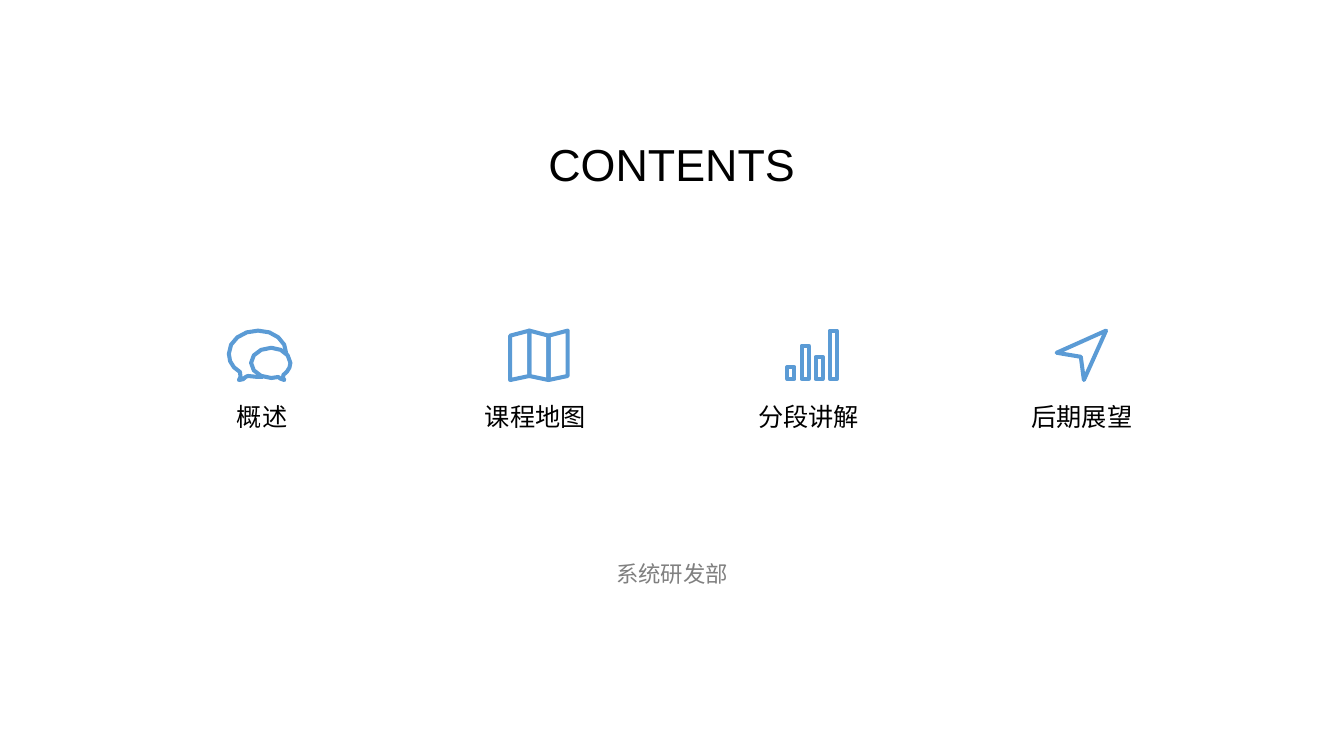
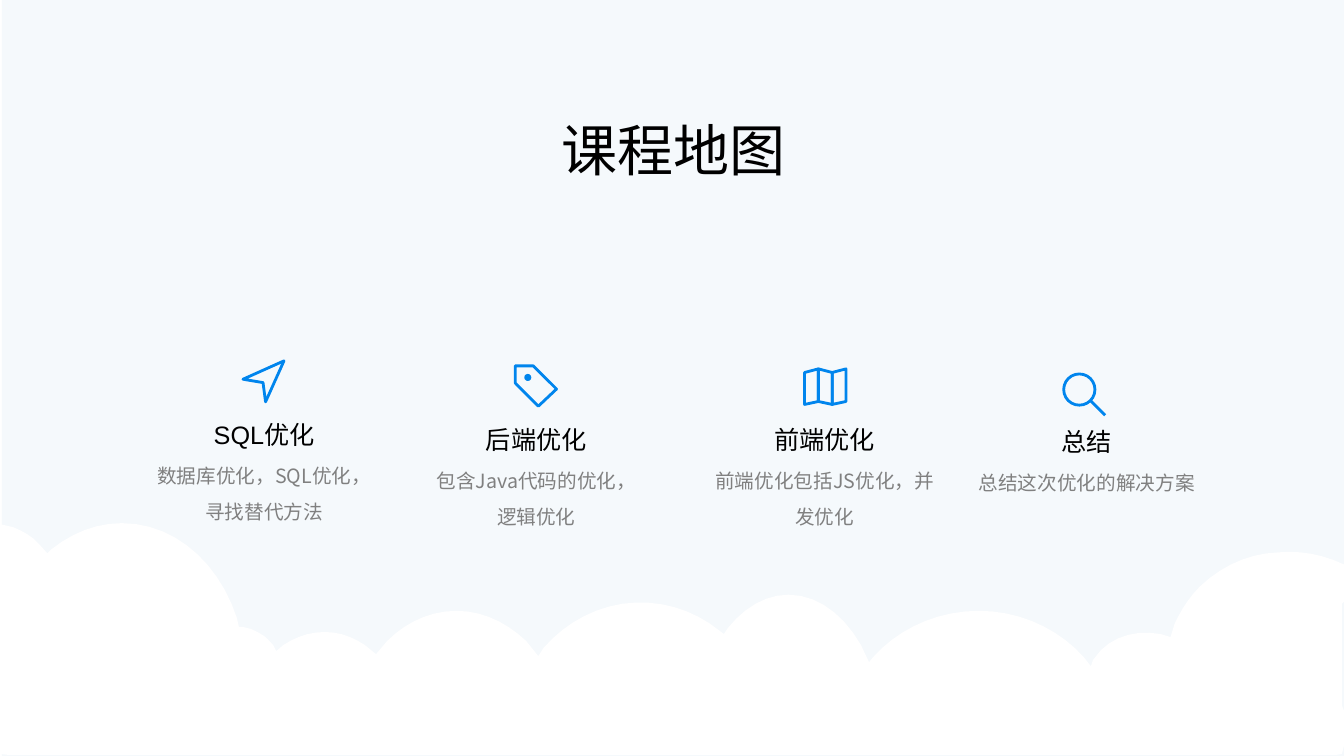
from dataclasses import dataclass
from math import dist

from lxml.etree import SubElement
from pptx import Presentation
from pptx.dml.color import RGBColor
from pptx.enum.shapes import MSO_CONNECTOR, MSO_SHAPE
from pptx.enum.text import MSO_ANCHOR, MSO_AUTO_SIZE, PP_ALIGN
from pptx.oxml.ns import qn
from pptx.util import Inches, Pt


@dataclass(frozen=True)
class Theme:
    width: float = 13.33
    height: float = 7.5
    ink: str = "000000"
    grey: str = "808080"
    white: str = "FFFFFF"
    sky: str = "F5F9FC"
    steel: str = "5B9BD5"
    azure: str = "0085ED"
    head: str = "Arial"
    body: str = "Noto Sans CJK SC"
    label: int = 18
    foot: int = 16
    note: int = 14
    thick: float = 2.88
    thin: float = 2


THEME = Theme()

# Outlines in inches: a pair is a corner, six numbers are a cubic curve.
MAP = [
    [(0.19, 0.45), (0, 0.49), (0, 0.05), (0.19, 0)],
    [(0.38, 0.49), (0.19, 0.45), (0.19, 0), (0.38, 0.05)],
    [(0.57, 0.45), (0.38, 0.49), (0.38, 0.05), (0.57, 0)],
]
ARROW = [[(0.27, 0.49), (0.49, 0), (0, 0.22), (0.24, 0.26)]]
TAG = [[(0.41, 0.23), (0.23, 0.4), (0, 0.17), (0, 0), (0.18, 0)]]
BACK = [
    (0.34, 0.46), (0.29, 0.46), (0.19, 0.45), (0.17, 0.44, 0.15, 0.5, 0.1, 0.49),
    (0.1, 0.49, 0.14, 0.43, 0.11, 0.41), (0.04, 0.37, 0, 0.31, 0, 0.23),
    (0, 0.1, 0.13, 0, 0.29, 0), (0.45, 0, 0.57, 0.1, 0.57, 0.23),
]
FRONT = [
    (0.22, 0.32), (0.22, 0.4, 0.31, 0.47, 0.42, 0.47),
    (0.49, 0.46), (0.5, 0.46, 0.51, 0.49, 0.55, 0.49),
    (0.55, 0.49, 0.52, 0.45, 0.54, 0.44), (0.58, 0.41, 0.61, 0.37, 0.61, 0.32),
    (0.61, 0.24, 0.52, 0.17, 0.42, 0.17), (0.31, 0.17, 0.22, 0.24, 0.22, 0.32),
]
CLOUD = [
    (1.21, 5.19), (1.73, 5.19, 2.17, 5.58, 2.35, 6.13), (2.37, 6.22), (2.41, 6.22),
    (2.49, 6.23, 2.56, 6.27, 2.62, 6.31), (2.66, 6.34, 2.68, 6.37, 2.71, 6.4),
    (2.74, 6.46), (2.81, 6.4), (2.93, 6.32, 3.07, 6.27, 3.22, 6.27),
    (3.37, 6.27, 3.5, 6.32, 3.62, 6.4), (3.73, 6.49), (3.84, 6.36),
    (4.02, 6.18, 4.26, 6.06, 4.53, 6.06), (4.79, 6.06, 5.03, 6.18, 5.22, 6.36),
    (5.34, 6.51), (5.39, 6.43), (5.59, 6.2, 5.86, 6.04, 6.17, 5.99),
    (6.53, 5.94, 6.87, 6.04, 7.14, 6.26), (7.18, 6.29), (7.22, 6.23),
    (7.38, 6.03, 7.59, 5.9, 7.82, 5.9), (8.11, 5.9, 8.37, 6.1, 8.54, 6.4),
    (8.62, 6.57), (8.66, 6.52), (8.91, 6.24, 9.29, 6.06, 9.71, 6.06),
    (10.12, 6.06, 10.5, 6.24, 10.75, 6.52), (10.82, 6.61), (10.84, 6.55),
    (10.92, 6.45), (11.07, 6.3, 11.29, 6.25, 11.51, 6.29),
    (11.61, 6.32), (11.65, 6.19), (11.71, 6.06, 11.79, 5.93, 11.9, 5.82),
    (12.12, 5.61, 12.39, 5.49, 12.68, 5.48), (12.9, 5.46, 13.12, 5.5, 13.33, 5.6),
    (13.33, 5.97), (13.31, 5.99), (13.31, 7), (13.33, 7.05), (13.33, 7.4),
    (13.31, 7.48), (13.25, 7.49), (0.09, 7.49), (0, 7.48), (0, 5.2), (0.13, 5.23),
    (0.23, 5.27, 0.32, 5.32, 0.39, 5.4), (0.47, 5.49), (0.51, 5.45),
    (0.71, 5.29, 0.95, 5.19, 1.21, 5.19),
]


def flatten(outline):
    """Turn an outline's curves into straight steps, more for longer curves."""
    dots = [outline[0]]
    for part in outline[1:]:
        if len(part) == 2:
            dots.append(part)
            continue
        ends = [dots[-1], part[:2], part[2:4], part[4:]]
        steps = 2 + round(dist(ends[0], ends[3]) * 6)
        for n in range(1, steps + 1):
            t = n / steps
            u = 1 - t
            mix = (u**3, 3 * u * u * t, 3 * u * t * t, t**3)
            dots.append(tuple(sum(m * e[k] for m, e in zip(mix, ends)) for k in (0, 1)))
    return dots


def paint(shape, fill=None, line=None, width=THEME.thin):
    shape.shadow.inherit = False
    if fill:
        shape.fill.solid()
        shape.fill.fore_color.rgb = RGBColor.from_string(fill)
    else:
        shape.fill.background()
    if line:
        stroke(shape, line, width)
    else:
        shape.line.fill.background()


def stroke(shape, color, width):
    """Give a line its colour, width and round corners."""
    shape.line.color.rgb = RGBColor.from_string(color)
    shape.line.width = Pt(width)
    SubElement(shape._element.spPr.find(qn("a:ln")), qn("a:round"))


def draw(shapes, outline, x=0, y=0, scale=1, close=True, **look):
    dots = [(Inches(x + a * scale), Inches(y + b * scale)) for a, b in flatten(outline)]
    pen = shapes.build_freeform(*dots[0])
    pen.add_line_segments(dots[1:], close=close)
    paint(pen.convert_to_shape(), **look)


def preset(shapes, kind, x, y, w, h, **look):
    shape = shapes.add_shape(kind, Inches(x), Inches(y), Inches(w), Inches(h))
    paint(shape, **look)
    return shape


def style(frame, text, size, font, color, space=None):
    frame.text = text
    par = frame.paragraphs[0]
    par.alignment = PP_ALIGN.CENTER
    par.line_spacing = space
    par.font.size = Pt(size)
    par.font.name = font
    par.font.color.rgb = RGBColor.from_string(color)
    east = SubElement(par._p.pPr.find(qn("a:defRPr")), qn("a:ea"))
    east.set("typeface", THEME.body)


def write(shapes, text, mid, top, w, h, size, font, color, space=None, wrap=True):
    """Add a text box centred on mid."""
    box = shapes.add_textbox(Inches(mid - w / 2), Inches(top), Inches(w), Inches(h))
    frame = box.text_frame
    frame.word_wrap = wrap
    frame.auto_size = MSO_AUTO_SIZE.SHAPE_TO_FIT_TEXT
    style(frame, text, size, font, color, space)


def start(deck, title, left, top, h, size):
    """Add a title-only slide and set its title."""
    slide = deck.slides.add_slide(deck.slide_layouts[5])
    name = slide.shapes.title
    name.left, name.top = Inches(left), Inches(top)
    name.width, name.height = Inches(THEME.width / 5), Inches(h)
    name.text_frame.vertical_anchor = MSO_ANCHOR.TOP
    style(name.text_frame, title, size, THEME.head, THEME.ink)
    return slide


def icon(shapes, outlines, x, y, scale=1, **look):
    for outline in outlines:
        draw(shapes, outline, x, y, scale, **look)


def chat(shapes, x, y, **look):
    draw(shapes, BACK, x, y, close=False, **look)
    draw(shapes, FRONT, x, y, **look)


def bars(shapes, x, y, **look):
    for n, h in enumerate((0.12, 0.33, 0.22, 0.48)):
        preset(shapes, MSO_SHAPE.RECTANGLE, x + n * 0.14, y + 0.48 - h, 0.07, h, **look)


def tag(shapes, x, y, **look):
    icon(shapes, TAG, x, y, **look)
    preset(shapes, MSO_SHAPE.OVAL, x + 0.09, y + 0.08, 0.07, 0.07, fill=look["line"])


def lens(shapes, x, y, line, width):
    preset(shapes, MSO_SHAPE.OVAL, x, y, 0.31, 0.31, line=line, width=width)
    ends = [Inches(v) for v in (x + 0.26, y + 0.26, x + 0.41, y + 0.41)]
    grip = shapes.add_connector(MSO_CONNECTOR.STRAIGHT, *ends)
    stroke(grip, line, width)
    SubElement(grip._element.spPr, qn("a:effectLst"))


def contents(deck):
    slide = start(deck, "CONTENTS", 5.33, 1.31, 0.64, 32)
    look = {"line": THEME.steel, "width": THEME.thick}
    groups = []
    for n, text in enumerate(("概述", "课程地图", "分段讲解", "后期展望")):
        group = slide.shapes.add_group_shape().shapes
        write(group, text, 2.6 + n * 2.71, 3.93, 0.2 + 0.25 * len(text), 0.4,
              THEME.label, THEME.head, THEME.ink, wrap=False)
        groups.append(group)
    top = 3.28
    chat(groups[0], 2.27, top, **look)
    icon(groups[1], MAP, 5.06, top, **look)
    bars(groups[2], 7.81, top, **look)
    icon(groups[3], ARROW, 10.48, top, **look)
    write(slide.shapes, "系统研发部", THEME.width / 2, 5.51, 9.11, 0.37,
          THEME.foot, THEME.body, THEME.grey)


def course(deck):
    slide = start(deck, "课程地图", 5.35, 1.1, 0.77, 40)
    back = preset(slide.shapes, MSO_SHAPE.RECTANGLE, 0.02, 0, THEME.width,
                  THEME.height + 0.05, fill=THEME.sky)
    slide.shapes.title._element.addprevious(back._element)
    draw(slide.shapes, CLOUD, fill=THEME.white)
    look = {"line": THEME.azure, "width": THEME.thin}
    items = (
        (2.62, 4.11, "SQL优化", "数据库优化，SQL优化，寻找替代方法", 0.77),
        (5.32, 4.16, "后端优化", "包含Java代码的优化，逻辑优化", 0.77),
        (8.18, 4.16, "前端优化", "前端优化包括JS优化，并发优化", 0.77),
        (10.78, 4.18, "总结", "总结这次优化的解决方案", 0.42),
    )
    groups = []
    for mid, top, head, note, h in items:
        group = slide.shapes.add_group_shape().shapes
        write(group, head, mid, top, 2.46, 0.4, THEME.label, THEME.head, THEME.ink)
        write(group, note, mid, top + 0.33, 2.37, h,
              THEME.note, THEME.body, THEME.grey, space=1.5)
        groups.append(group)
    icon(groups[0], ARROW, 2.41, 3.58, 0.83, **look)
    tag(groups[1], 5.11, 3.63, **look)
    icon(groups[2], MAP, 7.98, 3.66, 0.72, **look)
    lens(groups[3], 10.55, 3.71, **look)


def main():
    deck = Presentation()
    deck.slide_width = Inches(THEME.width)
    deck.slide_height = Inches(THEME.height)
    contents(deck)
    course(deck)
    deck.save("out.pptx")


if __name__ == "__main__":
    main()
